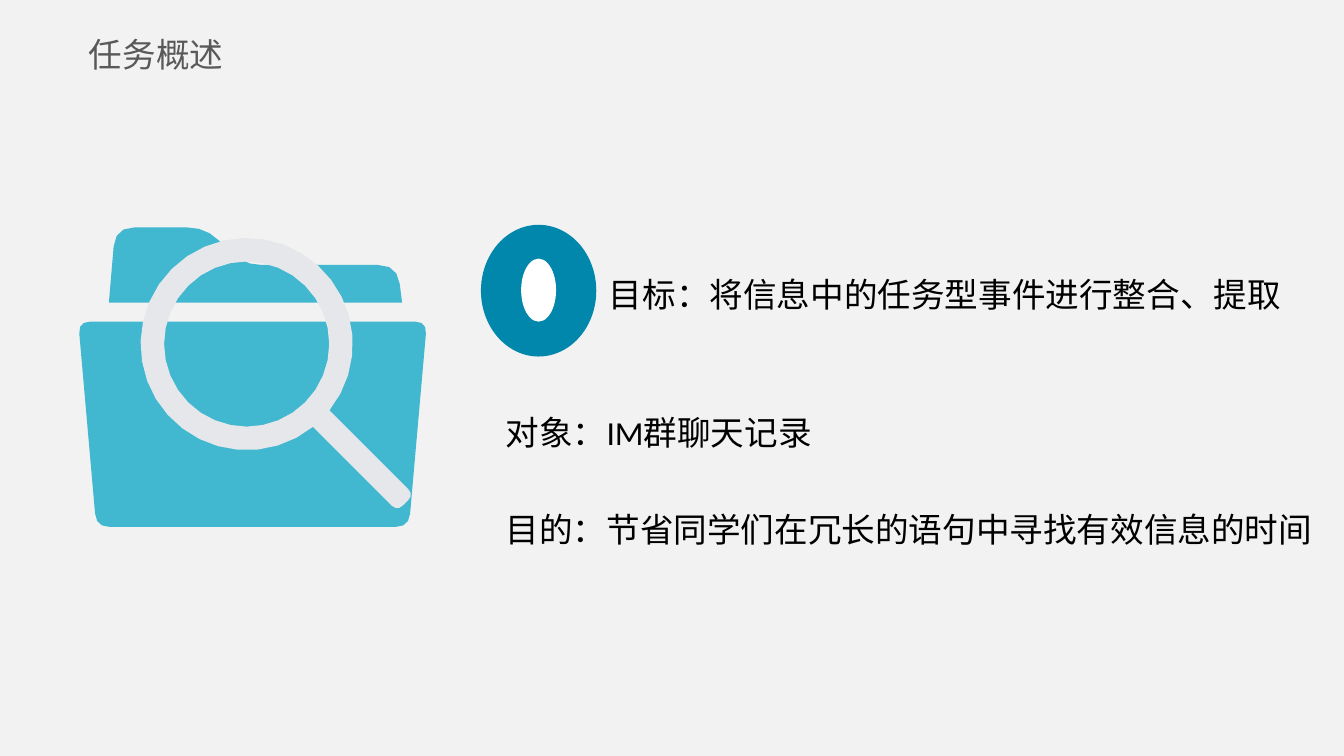
from dataclasses import dataclass
from math import asin, cos, dist, pi, sin

from lxml.etree import SubElement
from pptx import Presentation
from pptx.dml.color import RGBColor
from pptx.enum.shapes import MSO_SHAPE as Preset
from pptx.enum.text import MSO_ANCHOR as Anchor
from pptx.oxml.ns import qn
from pptx.util import Cm, Pt


@dataclass(frozen=True)
class Theme:
    """Colours, fonts and type size of the slide."""
    paper: str = "F2F2F2"
    heading: str = "595959"
    body: str = "000000"
    badge: str = "0187AC"
    mark: str = "FFFFFF"
    folder: str = "41B7D0"
    lens: str = "E6E7EA"
    heading_font: str = "Noto Sans CJK SC"
    body_font: str = "Calibri"
    size: int = 18


@dataclass(frozen=True)
class Box:
    """A region in centimetres."""
    left: float
    top: float
    width: float
    height: float

    def lengths(self):
        """Return left, top, width and height as slide lengths."""
        return [Cm(v) for v in (self.left, self.top, self.width, self.height)]

    def inner(self, left, top, width, height):
        """Return a box placed relative to this one."""
        return Box(self.left + left, self.top + top, width, height)


THEME = Theme()
PAGE = Box(0, 0, 25.4, 14.29)


def paint(shape, colour):
    """Give a shape a flat fill without line or shadow."""
    shape.fill.solid()
    shape.fill.fore_color.rgb = RGBColor.from_string(colour)
    shape.line.fill.background()
    shape.shadow.inherit = False
    return shape


def add_preset(slide, preset, box, colour):
    """Place a flat preset shape in the box."""
    return paint(slide.shapes.add_shape(preset, *box.lengths()), colour)


def add_text(slide, box, lines, font, colour, insets, anchor=Anchor.TOP,
             wrap=True, spacing=None, gap=0):
    """Place lines of text, one paragraph each, with a gap between them."""
    frame = slide.shapes.add_textbox(*box.lengths()).text_frame
    frame.word_wrap = wrap
    frame.vertical_anchor = anchor
    frame.margin_left = frame.margin_right = Cm(insets[0])
    frame.margin_top = frame.margin_bottom = Cm(insets[1])
    for index, line in enumerate(lines):
        paragraph = frame.add_paragraph() if index else frame.paragraphs[0]
        paragraph.space_before = Pt(gap if index else 0)
        if spacing:
            paragraph.line_spacing = spacing
        run = paragraph.add_run()
        run.text = line
        run.font.size = Pt(THEME.size)
        run.font.color.rgb = RGBColor.from_string(colour)
        run.font.name = font
        SubElement(run.font._element, qn("a:ea"), typeface=font)


def rounded(corners, steps=3):
    """Turn (x, y, radius) corners into a closed outline with soft corners."""
    outline = []
    for i, (x, y, radius) in enumerate(corners):
        if not radius:
            outline.append((x, y))
            continue
        ends = []
        for near in (corners[i - 1], corners[(i + 1) % len(corners)]):
            share = radius / dist((x, y), near[:2])
            ends.append((x + (near[0] - x) * share, y + (near[1] - y) * share))
        (ax, ay), (bx, by) = ends
        for t in (step / steps for step in range(steps + 1)):
            a, m, b = (1 - t) ** 2, 2 * t * (1 - t), t ** 2
            outline.append((a * ax + m * x + b * bx, a * ay + m * y + b * by))
    return outline


def arc(centre, radius, start, end, steps=32):
    """Return points along an arc, angles running clockwise from the right."""
    angles = (start + (end - start) * i / steps for i in range(steps + 1))
    return [(centre + radius * cos(a), centre + radius * sin(a)) for a in angles]


def add_outline(slide, box, contours, colour):
    """Draw contours, given relative to the box, as one filled shape."""
    placed = [[(Cm(box.left + x), Cm(box.top + y)) for x, y in contour]
              for contour in contours]
    builder = slide.shapes.build_freeform(*placed[0][0])
    builder.add_line_segments(placed[0][1:])
    for contour in placed[1:]:
        builder.move_to(*contour[0])
        builder.add_line_segments(contour[1:])
    return paint(builder.convert_to_shape(), colour)


def add_folder(slide, box):
    """Draw the folder: front panel and tabbed back."""
    w, h = box.width, box.height
    front = [(-0.02, 1.78, 0.23), (w + 0.02, 1.78, 0.23),
             (w - 0.32, h, 0.25), (0.32, h, 0.25)]
    back = [(0.56, 1.42, 0), (0.68, 0, 0.36), (2.39, 0, 0.35),
            (3.1, 0.71, 0.35), (6.01, 0.71, 0.36), (6.1, 1.42, 0)]
    add_outline(slide, box, [rounded(front), rounded(back)], THEME.folder)


def add_magnifier(slide, box):
    """Draw an upright magnifier filling the box and tilt its handle right."""
    radius, glass, half = box.width / 2, 1.56, 0.22
    neck = asin(half / radius)
    rim = arc(radius, radius, pi / 2 + neck, 5 * pi / 2 - neck)
    tip = [(*rim[-1], 0), (radius + half, box.height, 0.15),
           (radius - half, box.height, 0.15), (*rim[0], 0)]
    hole = arc(radius, glass, 2 * pi, 0)
    outline = rim + rounded(tip)[1:-1]
    add_outline(slide, box, [outline, hole], THEME.lens).rotation = 315


def add_goals(slide, box):
    """Place the badge with the goal beside it and the two lines below."""
    badge = box.inner(0, 0, 2.18, 2.49)
    add_text(slide, box.inner(2.34, 0.18, 12.95, 2.24),
             ["目标：将信息中的任务型事件进行整合、提取"],
             THEME.body_font, THEME.body, (0.08, 0.08), Anchor.MIDDLE, wrap=False)
    add_text(slide, box.inner(0.39, 3.3, 15.75, 5.72),
             ["对象：IM群聊天记录", "目的：节省同学们在冗长的语句中寻找有效信息的时间"],
             THEME.body_font, THEME.body, (0.08, 0.08), spacing=1.2, gap=26)
    add_preset(slide, Preset.OVAL, badge, THEME.badge)
    add_preset(slide, Preset.OVAL, badge.inner(0.76, 0.64, 0.66, 1.19), THEME.mark)


def build_overview(deck, page):
    """Add the task overview slide."""
    slide = deck.slides.add_slide(deck.slide_layouts[6])
    add_preset(slide, Preset.RECTANGLE, page, THEME.paper)
    add_goals(slide, page.inner(9.09, 4.25, 16.2, 9.02))
    add_folder(slide, page.inner(1.5, 4.3, 6.55, 5.66))
    add_magnifier(slide, page.inner(3.45, 4.17, 4.01, 6.25))
    add_text(slide, page.inner(1.68, 0.48, 5.92, 1.07), ["任务概述"],
             THEME.heading_font, THEME.heading, (0, 0.13), Anchor.MIDDLE)


deck = Presentation()
deck.slide_width, deck.slide_height = Cm(PAGE.width), Cm(PAGE.height)
build_overview(deck, PAGE)
deck.save("out.pptx")
